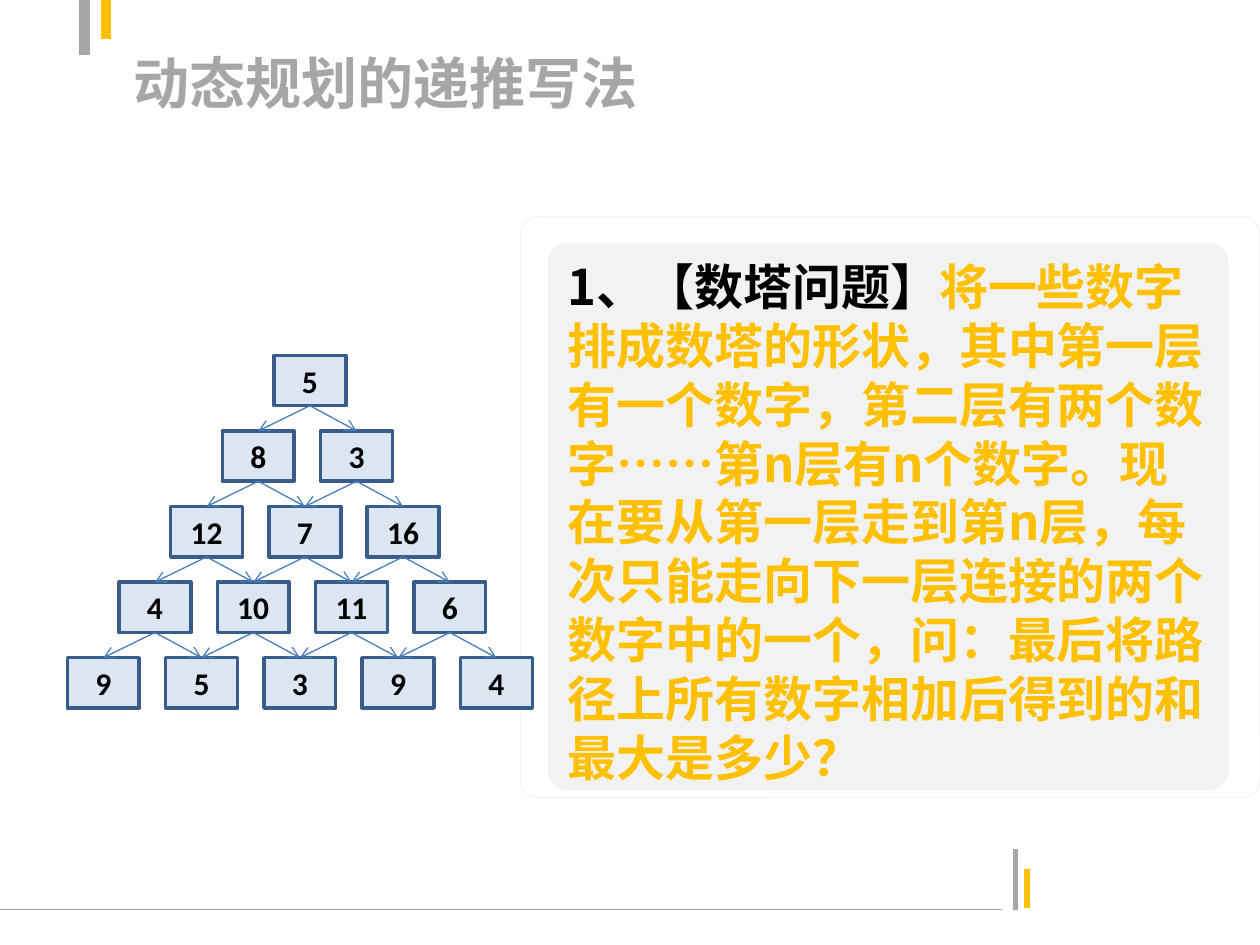
from dataclasses import dataclass

from lxml import etree
from pptx import Presentation
from pptx.dml.color import RGBColor
from pptx.enum.shapes import MSO_CONNECTOR, MSO_SHAPE
from pptx.enum.text import MSO_ANCHOR, PP_ALIGN
from pptx.oxml.ns import qn
from pptx.util import Inches, Pt

RECT, ROUND = MSO_SHAPE.RECTANGLE, MSO_SHAPE.ROUNDED_RECTANGLE
STRAIGHT = MSO_CONNECTOR.STRAIGHT
MIDDLE, TOP = MSO_ANCHOR.MIDDLE, MSO_ANCHOR.TOP
LEFT, CENTER = PP_ALIGN.LEFT, PP_ALIGN.CENTER
BOTTOM_SITE, TOP_SITE = 2, 0
CJK, LATIN = "Noto Sans CJK SC", "Calibri"
GREY, GOLD, PALE, BLACK = "A6A6A6", "FFC000", "F2F2F2", "000000"
CELL, EDGE, ARROW = "DCE6F2", "385D8A", "4A7EBB"

TOWER = [[5], [8, 3], [12, 7, 16], [4, 10, 11, 6], [9, 5, 3, 9, 4]]
APEX, FIRST = 2.46, 2.82
STEP, SHIFT, DROP = 0.78, 0.41, 0.6
CELL_W, CELL_H = 0.57, 0.4

HEAD = "1、【数塔问题】"
TASK = (
    "将一些数字排成数塔的形状，其中第一层有一个数字，第二层有两个数字……"
    "第n层有n个数字。现在要从第一层走到第n层，每次只能走向下一层连接的两个"
    "数字中的一个，问：最后将路径上所有数字相加后得到的和最大是多少？"
)


@dataclass
class Rule:
    x1: float
    y1: float
    x2: float
    y2: float
    color: str
    width: float


@dataclass
class Box:
    left: float
    top: float
    width: float
    height: float
    fill: str | None
    line: str
    weight: float
    kind: int = RECT


RULES = [
    Rule(-0.04, 7.22, 7.95, 7.22, GREY, 0.75),
    Rule(8.06, 7.22, 8.06, 6.74, GREY, 3),
    Rule(8.15, 7.21, 8.15, 6.9, GOLD, 3),
    Rule(0.67, 0.44, 0.67, -0.03, GREY, 6),
    Rule(0.84, 0, 0.84, 0.31, GOLD, 6),
]
PANEL = Box(4.37, 1.95, 5.36, 4.3, PALE, PALE, 3, ROUND)
FRAME = Box(4.13, 1.72, 5.87, 4.61, None, PALE, 0.5, ROUND)


def rgb(code: str) -> RGBColor:
    return RGBColor.from_string(code)


def style(run, size: float, face: str, color: str) -> None:
    font = run.font
    font.size, font.bold, font.name = Pt(size), True, face
    font.color.rgb = rgb(color)
    east = etree.SubElement(run._r.get_or_add_rPr(), qn("a:ea"))
    east.set("typeface", face)


def add_line(slide, rule: Rule):
    ends = [Inches(v) for v in (rule.x1, rule.y1, rule.x2, rule.y2)]
    line = slide.shapes.add_connector(STRAIGHT, *ends)
    line.line.color.rgb = rgb(rule.color)
    line.line.width = Pt(rule.width)
    etree.SubElement(line._element.spPr, qn("a:effectLst"))
    return line


def add_box(slide, box: Box):
    place = [Inches(v) for v in (box.left, box.top, box.width, box.height)]
    shape = slide.shapes.add_shape(box.kind, *place)
    shape.shadow.inherit = False
    if box.kind == ROUND:
        shape.adjustments[0] = 0.03
    if box.fill:
        shape.fill.solid()
        shape.fill.fore_color.rgb = rgb(box.fill)
    else:
        shape.fill.background()
    shape.line.color.rgb = rgb(box.line)
    shape.line.width = Pt(box.weight)
    return shape


def add_cell(slide, row: int, col: int, value: int):
    left = APEX - row * SHIFT + col * STEP - CELL_W / 2
    box = Box(left, FIRST + row * DROP, CELL_W, CELL_H, CELL, EDGE, 2)
    shape = add_box(slide, box)
    shape.text_frame.text = str(value)
    shape.text_frame.vertical_anchor = MIDDLE
    para = shape.text_frame.paragraphs[0]
    para.alignment = CENTER
    style(para.runs[0], 18, LATIN, BLACK)
    return shape


def add_arrow(slide, start, end) -> None:
    """Join the bottom of one cell to the top of another."""
    line = add_line(slide, Rule(0, 0, 0, 0, ARROW, 0.75))
    line.begin_connect(start, BOTTOM_SITE)
    line.end_connect(end, TOP_SITE)
    etree.SubElement(line.line._get_or_add_ln(), qn("a:tailEnd"), type="arrow")


def add_tower(slide) -> None:
    cells = [
        [add_cell(slide, row, col, value) for col, value in enumerate(values)]
        for row, values in enumerate(TOWER)
    ]
    for upper, lower in zip(cells, cells[1:]):
        for col, cell in enumerate(upper):
            for child in lower[col:col + 2]:
                add_arrow(slide, cell, child)


def set_title(slide) -> None:
    title = slide.shapes.title
    title.left, title.top = Inches(0.96), Inches(0.03)
    title.width, title.height = Inches(9), Inches(1.25)
    title.text_frame.text = "动态规划的递推写法"
    title.text_frame.vertical_anchor = MIDDLE
    para = title.text_frame.paragraphs[0]
    para.alignment = LEFT
    style(para.runs[0], 32, CJK, GREY)


def add_task(slide) -> None:
    frame = add_box(slide, PANEL).text_frame
    frame.vertical_anchor = TOP
    para = frame.paragraphs[0]
    para.alignment = LEFT
    para._p.get_or_add_pPr().set("hangingPunct", "0")
    for text, color in ((HEAD, BLACK), (TASK, GOLD)):
        run = para.add_run()
        run.text = text
        style(run, 28, CJK, color)
    add_box(slide, FRAME)


def main() -> None:
    deck = Presentation()
    deck.slide_width, deck.slide_height = Inches(10), Inches(7.5)
    slide = deck.slides.add_slide(deck.slide_layouts[5])
    for rule in RULES:
        add_line(slide, rule)
    set_title(slide)
    add_task(slide)
    add_tower(slide)
    deck.save("out.pptx")


if __name__ == "__main__":
    main()
